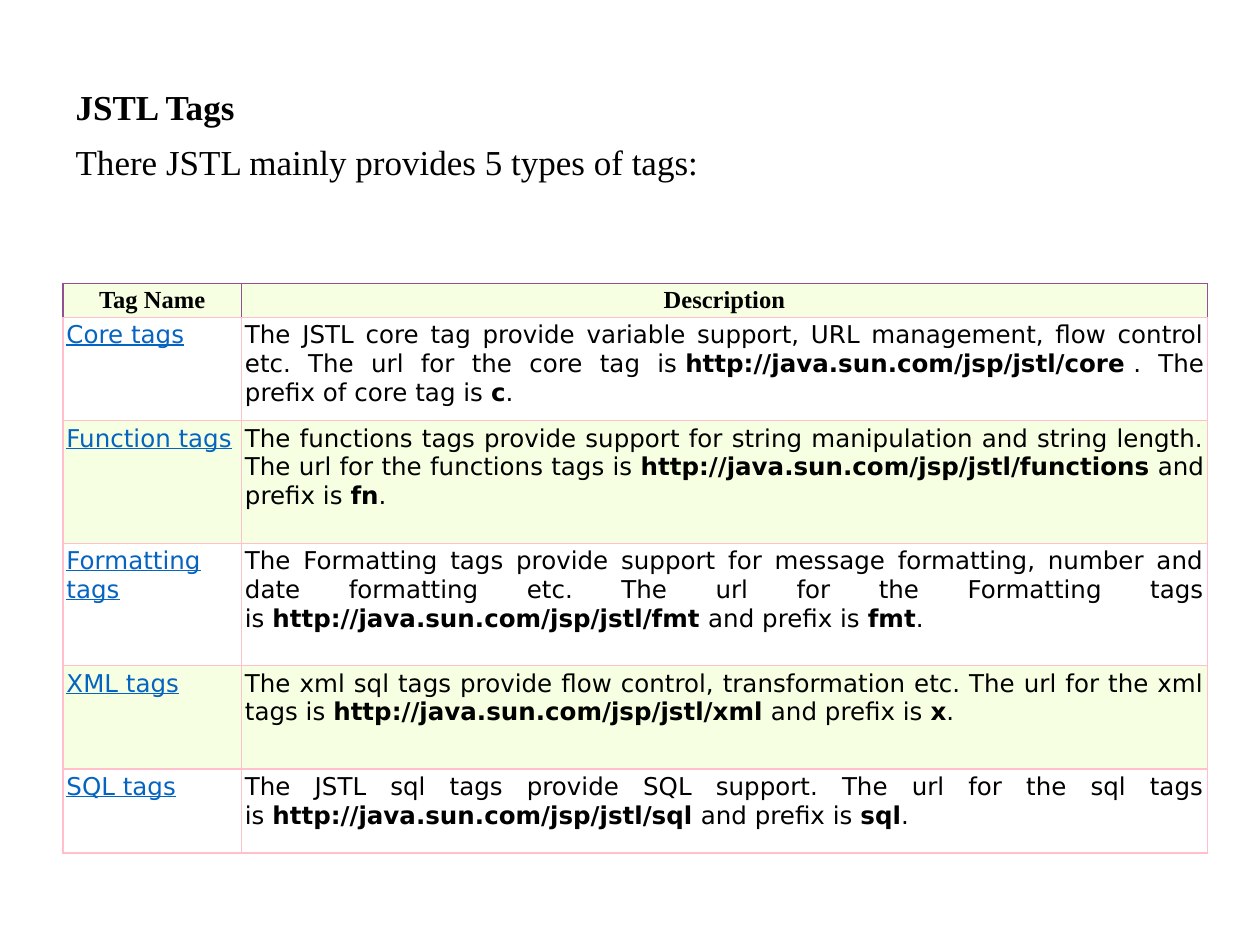
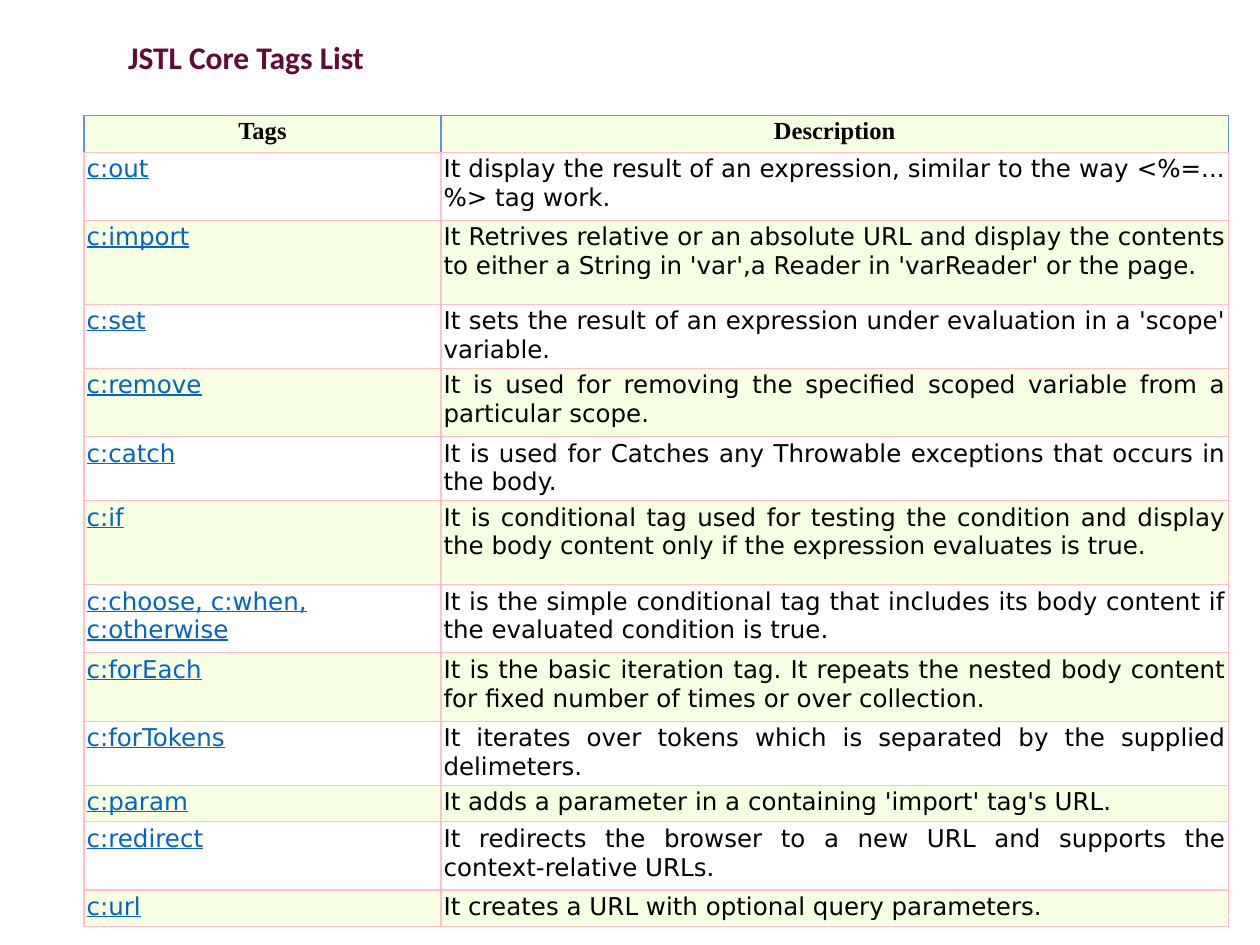
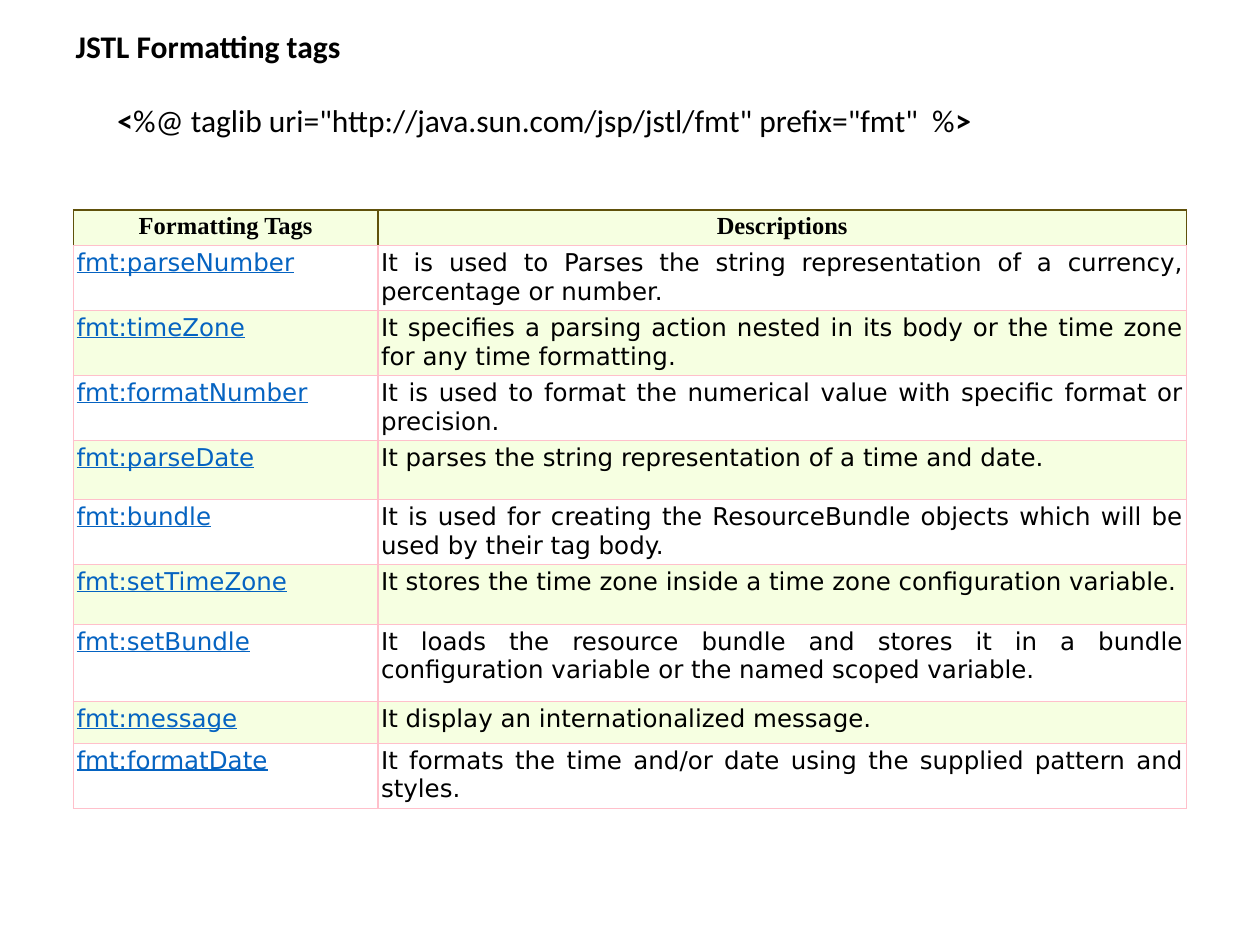
from lxml.etree import SubElement
from pptx import Presentation
from pptx.dml.color import RGBColor
from pptx.enum.text import MSO_ANCHOR, MSO_AUTO_SIZE, PP_ALIGN
from pptx.oxml.ns import qn
from pptx.util import Pt

COLORS = {
    "text": "000000", "link": "0563C1", "heading": "610B38",
    "band": "F6FFE1", "plain": "FFFFFF", "grid": "FFC0CB",
    "purple": "905294", "blue": "6093D7", "olive": "60510B",
}
SERIF, SANS, HEADING = "Times New Roman", "DejaVu Sans", "Calibri"
NBSP = chr(160)  # keeps a word with its neighbour in justified text

# ---- Content ----
INTRO = ["JSTL Tags", "There JSTL mainly provides 5 types of tags:"]

# tag, sentence, last part of the url, words before the prefix, prefix
AND_PREFIX = f"{NBSP}and prefix is{NBSP}"
LIBRARIES = [
    ("Core tags", "The JSTL core tag provide variable support, URL management, flow control etc. "
     "The url for the core tag is", "core", f"{NBSP}. The prefix of core tag is{NBSP}", "c"),
    ("Function tags", "The functions tags provide support for string manipulation and string length. "
     "The url for the functions tags is", "functions", AND_PREFIX, "fn"),
    ("Formatting tags", "The Formatting tags provide support for message formatting, number and date "
     "formatting etc. The url for the Formatting tags is", "fmt", AND_PREFIX, "fmt"),
    ("XML tags", "The xml sql tags provide flow control, transformation etc. "
     "The url for the xml tags is", "xml", AND_PREFIX, "x"),
    ("SQL tags", "The JSTL sql tags provide SQL support. The url for the sql tags is",
     "sql", AND_PREFIX, "sql"),
]
# Descriptions are lists of parts; every second part is bold
LIBRARY_ROWS = [
    (tag, [sentence + NBSP, f"http://java.sun.com/jsp/jstl/{url}", joint, prefix, "."])
    for tag, sentence, url, joint, prefix in LIBRARIES
]

CORE_ROWS = [
    ("c:out", ["It display the result of an expression, similar to the way <%=...%> tag work."]),
    ("c:import", ["It Retrives relative or an absolute URL and display the contents to either "
                  "a String in 'var',a Reader in 'varReader' or the page."]),
    ("c:set", ["It sets the result of an expression under evaluation in a 'scope' variable."]),
    ("c:remove", ["It is used for removing the specified scoped variable from a particular scope."]),
    ("c:catch", ["It is used for Catches any Throwable exceptions that occurs in the body."]),
    ("c:if", ["It is conditional tag used for testing the condition and display the body content "
              "only if the expression evaluates is true."]),
    ("c:choose, c:when,\nc:otherwise", ["It is the simple conditional tag that includes its body "
                                        "content if the evaluated condition is true."]),
    ("c:forEach", ["It is the basic iteration tag. It repeats the nested body content for fixed "
                   "number of times or over collection."]),
    ("c:forTokens", ["It iterates over tokens which is separated by the supplied delimeters."]),
    ("c:param", ["It adds a parameter in a containing 'import' tag's URL."]),
    ("c:redirect", ["It redirects the browser to a new URL and supports the context-relative URLs."]),
    ("c:url", ["It creates a URL with optional query parameters."]),
]

FORMAT_ROWS = [
    ("fmt:parseNumber", ["It is used to Parses the string representation of a currency, "
                         "percentage or number."]),
    ("fmt:timeZone", ["It specifies a parsing action nested in its body or the time zone for any "
                      "time formatting."]),
    ("fmt:formatNumber", ["It is used to format the numerical value with specific format or precision."]),
    ("fmt:parseDate", ["It parses the string representation of a time and date."]),
    ("fmt:bundle", ["It is used for creating the ResourceBundle objects which will be used by "
                    "their tag body."]),
    ("fmt:setTimeZone", ["It stores the time zone inside a time zone configuration variable."]),
    ("fmt:setBundle", ["It loads the resource bundle and stores it in a bundle configuration "
                       "variable or the named scoped variable."]),
    ("fmt:message", ["It display an internationalized message."]),
    ("fmt:formatDate", ["It formats the time and/or date using the supplied pattern and styles."]),
]
TAGLIB = ["<", '%@ taglib uri="http://java.sun.com/jsp/jstl/fmt" prefix="fmt"  %'.replace(" ", NBSP), ">"]

# Table places and sizes in points
LIBRARY_TABLE = {
    "header": ("Tag Name", "Description"), "rows": LIBRARY_ROWS, "edge": "purple",
    "at": (36, 162), "cols": (102, 552), "inset": 2,
    "heights": (15, 59, 70, 70, 59, 48),
}
CORE_TABLE = {
    "header": ("Tags", "Description"), "rows": CORE_ROWS, "edge": "blue",
    "at": (48, 66), "cols": (204, 450), "inset": 1.5,
    "heights": (21, 39, 48, 30, 39, 30, 48, 39, 39, 30, 21, 39, 21),
}
FORMAT_TABLE = {
    "header": ("Formatting Tags", "Descriptions"), "rows": FORMAT_ROWS, "edge": "olive",
    "at": (42, 120), "cols": (174, 462), "inset": 1.75,
    "heights": (14, 34, 34, 34, 34, 34, 34, 44, 24, 34),
}


# ---- Helpers ----
def style(font, name, size, color="text", bold=False, underline=False):
    font.name, font.size, font.bold, font.underline = name, Pt(size), bold, underline
    font.color.rgb = RGBColor.from_string(COLORS[color])


def place(s, left, top, width, height):
    s.left, s.top, s.width, s.height = Pt(left), Pt(top), Pt(width), Pt(height)


def add_runs(p, parts, first_bold, name, size):
    """Write the parts as runs that alternate between bold and regular."""
    for i, part in enumerate(parts):
        r = p.add_run()
        r.text = part
        style(r.font, name, size, bold=(i % 2 == 0) == first_bold)


def set_borders(cell, color, bottom):
    tcPr = cell._tc.get_or_add_tcPr()
    for i, side in enumerate(("lnL", "lnR", "lnT", "lnB")):
        ln = SubElement(tcPr, qn(f"a:{side}"), w=str(Pt(0.75)))
        fill = SubElement(ln, qn("a:solidFill"))
        SubElement(fill, qn("a:srgbClr"), val=COLORS[bottom if side == "lnB" else color])
        tcPr.insert(i, ln)


def add_tag_table(slide, spec):
    rows = [spec["header"], *spec["rows"]]
    frame = slide.shapes.add_table(len(rows), 2, *map(Pt, spec["at"]),
                                   Pt(sum(spec["cols"])), Pt(sum(spec["heights"])))
    table = frame.table
    table.horz_banding = False
    for col, width in zip(table.columns, spec["cols"]):
        col.width = Pt(width)
    for i, (row, height, texts) in enumerate(zip(table.rows, spec["heights"], rows)):
        row.height = Pt(height)
        for j, (cell, text) in enumerate(zip(row.cells, texts)):
            cell.margin_left = cell.margin_right = Pt(spec["inset"])
            cell.margin_top = cell.margin_bottom = Pt(spec["inset"])
            cell.fill.solid()
            cell.fill.fore_color.rgb = RGBColor.from_string(COLORS["plain" if i % 2 else "band"])
            set_borders(cell, "grid" if i else spec["edge"], "grid")
            tf = cell.text_frame
            if i and j:
                add_runs(tf.paragraphs[0], text, False, SANS, 14)
            else:
                tf.text = text
            for p in tf.paragraphs:
                p.alignment = PP_ALIGN.JUSTIFY if i else PP_ALIGN.CENTER
                for r in p.runs:
                    if i == 0:
                        style(r.font, SERIF, 14, bold=True)
                    elif j == 0:
                        style(r.font, SANS, 14, "link", underline=True)


def add_heading_slide(prs, text, color, box):
    """Add a title-only slide with a small left-aligned heading."""
    slide = prs.slides.add_slide(prs.slide_layouts[5])
    title = slide.shapes.title
    place(title, *box)
    tf = title.text_frame
    tf.text = text
    tf.word_wrap = False
    tf.auto_size = MSO_AUTO_SIZE.SHAPE_TO_FIT_TEXT
    tf.vertical_anchor = MSO_ANCHOR.MIDDLE
    p = tf.paragraphs[0]
    p.alignment = PP_ALIGN.LEFT
    style(p.runs[0].font, HEADING, 18, color, bold=True)
    return slide


# ---- Slides ----
def build_libraries(prs):
    slide = prs.slides.add_slide(prs.slide_layouts[1])
    title, body = slide.placeholders
    title.element.getparent().remove(title.element)
    place(body, 36, 48, 648, 434)
    tf = body.text_frame
    tf.text = "\n".join(INTRO)
    tf.auto_size = MSO_AUTO_SIZE.NONE
    for i, p in enumerate(tf.paragraphs):
        pPr = p._p.get_or_add_pPr()
        pPr.set("marL", str(Pt(18)))
        pPr.set("indent", str(Pt(-18)))
        SubElement(pPr, qn("a:buNone"))
        p.line_spacing = 0.9
        p.space_before = Pt(10 if i else 0)
        style(p.runs[0].font, SERIF, 20, bold=i == 0)
    add_tag_table(slide, LIBRARY_TABLE)


def build_core(prs):
    slide = add_heading_slide(prs, "JSTL Core Tags List", "heading", (66, 18, 189, 29))
    fill = slide.shapes.title.fill
    fill.solid()
    fill.fore_color.rgb = RGBColor.from_string(COLORS["plain"])
    add_tag_table(slide, CORE_TABLE)


def build_formatting(prs):
    slide = add_heading_slide(prs, "JSTL Formatting tags", "text", (36, 12, 168, 29))
    add_tag_table(slide, FORMAT_TABLE)
    directive = slide.shapes.add_textbox(Pt(60), Pt(54), Pt(564), Pt(29))
    tf = directive.text_frame
    tf.word_wrap = True
    tf.auto_size = MSO_AUTO_SIZE.SHAPE_TO_FIT_TEXT
    add_runs(tf.paragraphs[0], TAGLIB, True, HEADING, 18)


def main():
    prs = Presentation()
    prs.slide_width, prs.slide_height = Pt(720), Pt(540)
    build_libraries(prs)
    build_core(prs)
    build_formatting(prs)
    prs.save("out.pptx")


if __name__ == "__main__":
    main()
